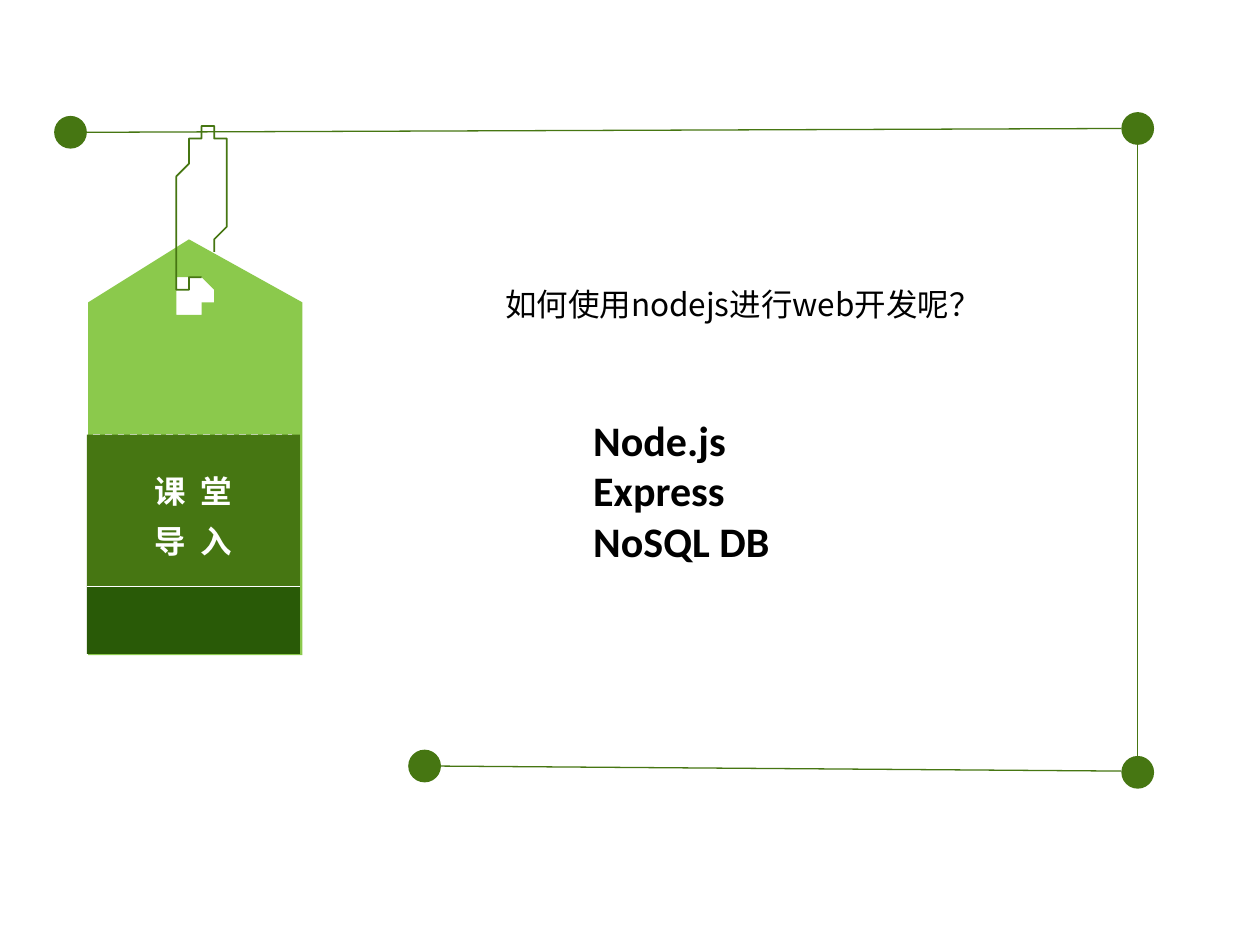
from math import cos, pi, sin

from lxml.etree import SubElement
from pptx import Presentation
from pptx.dml.color import RGBColor
from pptx.enum.dml import MSO_LINE
from pptx.enum.shapes import MSO_CONNECTOR, MSO_SHAPE
from pptx.enum.text import MSO_ANCHOR, PP_ALIGN
from pptx.oxml.ns import qn
from pptx.util import Inches, Pt

HUES = {name: RGBColor.from_string(code) for name, code in {
    "light": "8BC94C", "green": "467612", "dark": "295A07",
    "white": "FFFFFF", "black": "000000"}.items()}
HAN, LATIN = "Noto Sans CJK SC", "Calibri"

# The slide is a grid of 100 columns by 75 rows of square cells.
deck = Presentation()
deck.slide_width, deck.slide_height = Inches(10), Inches(7.5)
CELL = deck.slide_width // 100
slide = deck.slides.add_slide(deck.slide_layouts[6])
shapes = slide.shapes


def draw(kind, hue, *box):
    """Add a plain shape, or a line when kind is a weight in points."""
    ends = [round(n * CELL) for n in box]
    if isinstance(kind, MSO_SHAPE):
        item = shapes.add_shape(kind, *ends)
        item.shadow.inherit = False
        item.fill.solid()
        item.fill.fore_color.rgb = HUES[hue]
        item.line.fill.background()
    else:
        item = shapes.add_connector(MSO_CONNECTOR.STRAIGHT, *ends)
        item.line.width = Pt(kind)
        item.line.color.rgb = HUES[hue]
        SubElement(item._element.spPr, qn("a:effectLst"))
    return item


def write(frame, lines, size, face, hue, bold=False, gap=None, align=None):
    frame.word_wrap = True
    frame.text = "\n".join(lines)
    for par in frame.paragraphs:
        par.alignment, par.line_spacing = align, gap
        font = par.font
        font.size, font.bold, font.name = Pt(size), bold, face
        font.color.rgb = HUES[hue]
        SubElement(par._p.pPr.find(qn("a:defRPr")), qn("a:ea"), typeface=face)


# Tag: a pointed outline with a round hole
left, right, mid = 6.9, 23.8, 15.35
top, neck, fold, seam, foot = 18.9, 24.2, 34.5, 46.5, 51.9
wide = right - left
hole = [(mid + 1.45 * cos(-pi * n / 24), 23.45 + 1.45 * sin(-pi * n / 24))
        for n in range(48)]
rim = [(mid, top), (right, neck), (right, foot), (left, foot), (left, neck)]
pen = shapes.build_freeform(*rim[0], scale=CELL)
pen.add_line_segments(rim[1:], close=True)
pen.move_to(*hole[0])
pen.add_line_segments(hole[1:], close=True)
tag = pen.convert_to_shape()
tag.shadow.inherit = False
tag.fill.solid()
tag.fill.fore_color.rgb = HUES["light"]
tag.line.fill.background()

# Bands of the tag
draw(MSO_SHAPE.RECTANGLE, "dark", left, seam, wide, foot - seam)
draw(0.75, "white", left, seam, right, seam)
stitch = draw(1, "white", left + 0.5, fold, right - 0.6, fold)
stitch.line.dash_style = MSO_LINE.DASH
band = draw(MSO_SHAPE.RECTANGLE, "green", left, fold, wide, seam - fold)
frame = band.text_frame
frame.vertical_anchor = MSO_ANCHOR.MIDDLE
frame.margin_left = frame.margin_right = Inches(0.06)
write(frame, ["课 堂", "导 入"], 18, HAN, "white", True, 1.3, PP_ALIGN.CENTER)
for par in frame.paragraphs:
    par._p.pPr.find(qn("a:defRPr")).set("spc", "200")

# String: cubic curves, each starting where the last one ended
curves = [
    [(15.7, 22), (15.7, 21.6), (14.1, 25.3), (13.8, 21.4)],
    [(13.8, 21.4), (13.9, 19.6), (14.1, 13.9), (14.8, 12.4)],
    [(14.8, 12.4), (15.4, 10.8), (16.6, 7.8), (17.9, 12)],
    [(17.9, 12), (19.3, 16.2), (16.9, 19.4), (17.1, 20.2)],
]
path = []
for curve in curves:
    for step in range(1, 17):
        t = step / 16
        parts = (1 - t) ** 3, 3 * t * (1 - t) ** 2, 3 * t * t * (1 - t), t ** 3
        path.append([sum(w * p[k] for w, p in zip(parts, curve)) for k in (0, 1)])
pen = shapes.build_freeform(*curves[0][0], scale=CELL)
pen.add_line_segments(path, close=False)
string = pen.convert_to_shape()
string.shadow.inherit = False
string.fill.background()
string.line.color.rgb = HUES["green"]
string.line.width = Pt(1)

# Frame: dots at the corners, joined by thin lines
dot = 2.6
for x, y in [(5.6, 10.5), (90.3, 10.2), (33.7, 60.8), (90.3, 61.3)]:
    draw(MSO_SHAPE.OVAL, "green", x - dot / 2, y - dot / 2, dot, dot)
for ends in [(6.9, 10.5, 89, 10.2), (34.9, 60.8, 89, 61.2), (90.3, 11.2, 90.3, 60.8)]:
    draw(0.75, "green", *ends)

# Question and answers
for box, *style in [
    ((39.1, 19.1, 45.8, 6), ["如何使用nodejs进行web开发呢？"], 18, HAN, "black", False, 2),
    ((46.1, 32.4, 28.1, 13.1), ["Node.js", "Express", "NoSQL DB"], 24, LATIN, "black", True),
]:
    note = shapes.add_textbox(*[round(n * CELL) for n in box])
    write(note.text_frame, *style)

deck.save("out.pptx")
